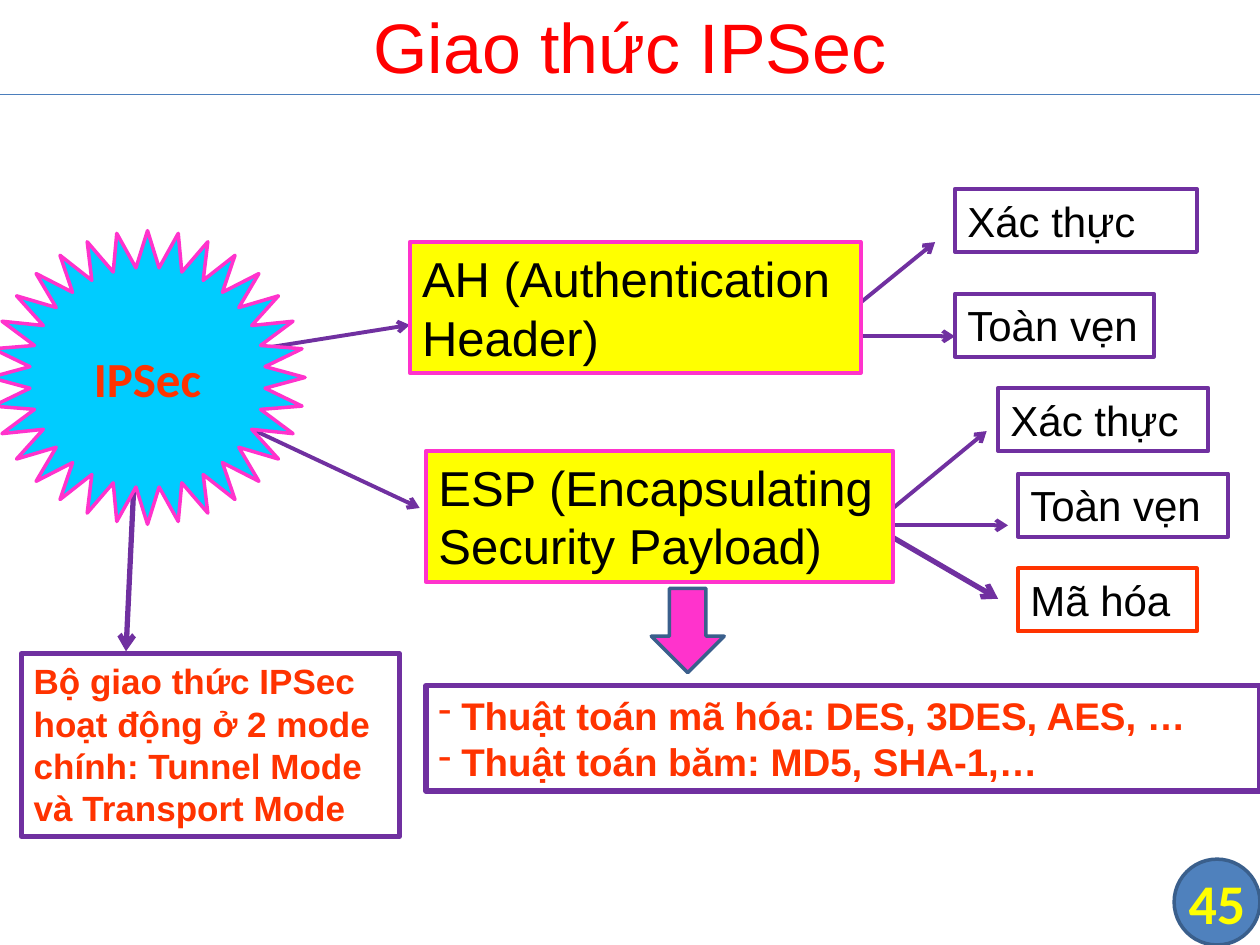
from lxml.etree import SubElement
from pptx import Presentation
from pptx.dml.color import RGBColor
from pptx.enum.shapes import MSO_CONNECTOR, MSO_SHAPE
from pptx.enum.text import MSO_ANCHOR, MSO_AUTO_SIZE, PP_ALIGN
from pptx.oxml.ns import qn
from pptx.util import Cm, Pt

COLORS = {
    "white": "FFFFFF", "black": "000000", "red": "FF0000", "orange": "FF3300",
    "yellow": "FFFF00", "pink": "FF33CC", "purple": "7030A0", "cyan": "00CCFF",
    "blue": "4F81BD", "navy": "3A5F8C", "rule": "4B7EBC",
}


def color(name):
    return RGBColor.from_string(COLORS[name])


class Diagram:
    def __init__(self, slide, font="Arial"):
        self.slide = slide
        self.font = font

    def set_text(self, shape, lines, size, ink, bold=False, font=None, centered=False):
        frame = shape.text_frame
        frame.word_wrap = True
        frame.vertical_anchor = MSO_ANCHOR.MIDDLE if centered else MSO_ANCHOR.TOP
        frame.text = "\n".join(lines)
        for paragraph in frame.paragraphs:
            paragraph.alignment = PP_ALIGN.CENTER if centered else PP_ALIGN.LEFT
            paragraph.font.name = font or self.font
            paragraph.font.size = Pt(size)
            paragraph.font.bold = bold
            paragraph.font.color.rgb = color(ink)

    def clear_margins(self, shape):
        frame = shape.text_frame
        frame.margin_left = frame.margin_right = 0
        frame.margin_top = frame.margin_bottom = 0

    def shape(self, kind, area, fill, line, width):
        shape = self.slide.shapes.add_shape(kind, *map(Cm, area))
        shape.shadow.inherit = False
        if fill:
            shape.fill.solid()
            shape.fill.fore_color.rgb = color(fill)
        else:
            shape.fill.background()
        shape.line.color.rgb = color(line)
        shape.line.width = Pt(width)
        return shape

    def box(self, area, lines, size, ink="black", fill=None, line="purple", width=2.25, bold=False):
        shape = self.shape(MSO_SHAPE.RECTANGLE, area, fill, line, width)
        self.set_text(shape, lines, size, ink, bold)
        shape.text_frame.auto_size = MSO_AUTO_SIZE.SHAPE_TO_FIT_TEXT
        return shape

    def label(self, area, text, size, ink, **style):
        shape = self.slide.shapes.add_textbox(*map(Cm, area))
        self.set_text(shape, [text], size, ink, centered=True, **style)
        return shape

    def line(self, start, end, ink="purple", width=2.25, arrow=True):
        connector = self.slide.shapes.add_connector(
            MSO_CONNECTOR.STRAIGHT, *map(Cm, start + end))
        connector.line.color.rgb = color(ink)
        connector.line.width = Pt(width)
        properties = connector.element.spPr
        if arrow:
            SubElement(properties.find(qn("a:ln")), qn("a:tailEnd"), type="arrow")
        SubElement(properties, qn("a:effectLst"))

    def dashes(self, shape, indent):
        for paragraph in shape.text_frame.paragraphs:
            properties = paragraph._p.get_or_add_pPr()
            properties.set("marL", str(Cm(indent)))
            properties.set("indent", str(-Cm(indent)))
            bullet = properties.makeelement(qn("a:buChar"), {"char": "-"})
            properties.insert(0, bullet)


def main():
    presentation = Presentation()
    presentation.slide_width = Cm(25.4)
    presentation.slide_height = Cm(19.05)
    slide = presentation.slides.add_slide(presentation.slide_layouts[6])
    diagram = Diagram(slide)

    page_area = (23.67, 17.32, 1.73, 1.73)
    diagram.shape(MSO_SHAPE.FLOWCHART_CONNECTOR, page_area, "blue", "navy", 2)
    diagram.line((0, 1.9), (25.4, 1.9), "rule", 0.75, arrow=False)
    diagram.label((0, -0.08, 25.4, 1.98), "Giao thức IPSec", 40, "red")
    page_number = diagram.label(page_area, "45", 32, "yellow", bold=True, font="Calibri")
    diagram.clear_margins(page_number)

    header_exit = (16.51, 6.78)
    payload_exit = (17.58, 10.59)
    for start, end, width in [
        (header_exit, (18.85, 4.88), 2.25),
        (header_exit, (19.25, 6.78), 2.25),
        (payload_exit, (19.89, 8.69), 2.25),
        (payload_exit, (20.32, 10.59), 2.25),
        (payload_exit, (20.12, 12.07), 3),
        ((2.74, 8.89), (2.54, 13.13), 3),
        ((4.24, 7.19), (8.26, 6.55), 2.25),
        ((4.24, 8.26), (8.46, 10.24), 2.25),
    ]:
        diagram.line(start, end, width=width)

    for area, text in [
        ((8.26, 4.88, 9.09, 2.64), "AH (Authentication Header)"),
        ((8.59, 9.09, 9.42, 2.64), "ESP (Encapsulating Security Payload)"),
    ]:
        diagram.box(area, [text], 28, fill="yellow", line="pink")

    star = diagram.shape(MSO_SHAPE.STAR_32_POINT, (-0.2, 4.65, 6.35, 5.92), "cyan", "pink", 2)
    diagram.set_text(star, ["IPSec"], 28, "orange", bold=True, font="Calibri", centered=True)
    diagram.clear_margins(star)

    framed = {"ink": "orange", "fill": "white", "width": 3, "bold": True}
    modes = "Bộ giao thức IPSec hoạt động ở 2 mode chính: Tunnel Mode và Transport Mode"
    diagram.box((0.43, 13.18, 7.62, 3.68), [modes], 20, **framed)

    for left, top, width, text, line in [
        (19.25, 3.81, 4.88, "Xác thực", "purple"),
        (19.25, 5.92, 4.01, "Toàn vẹn", "purple"),
        (20.12, 7.82, 4.24, "Xác thực", "purple"),
        (20.52, 9.55, 4.24, "Toàn vẹn", "purple"),
        (20.52, 11.46, 3.61, "Mã hóa", "orange"),
    ]:
        diagram.box((left, top, width, 1.27), [text], 24, line=line)

    diagram.shape(MSO_SHAPE.DOWN_ARROW, (13.13, 11.86, 1.47, 1.7), "pink", "navy", 2)
    algorithms = diagram.box(
        (8.59, 13.82, 16.81, 2.13),
        ["Thuật toán mã hóa: DES, 3DES, AES, …", "Thuật toán băm: MD5, SHA-1,…"],
        22, **framed)
    diagram.dashes(algorithms, 0.46)

    presentation.save("out.pptx")


if __name__ == "__main__":
    main()
